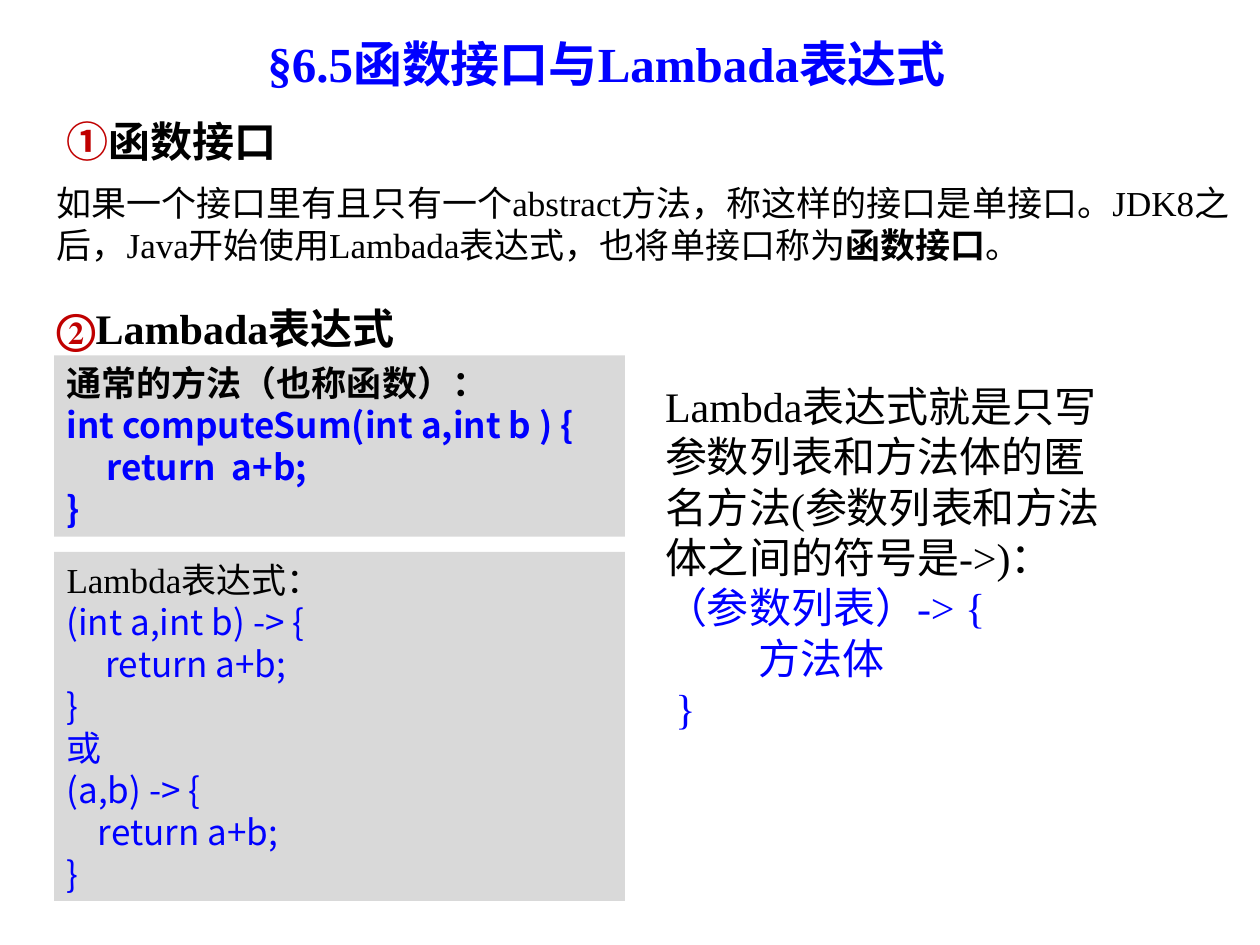
from pptx import Presentation
from pptx.dml.color import RGBColor
from pptx.enum.shapes import MSO_SHAPE
from pptx.enum.text import MSO_ANCHOR, PP_ALIGN
from pptx.util import Inches, Pt

RECTANGLE = MSO_SHAPE.RECTANGLE
TOP, MIDDLE = MSO_ANCHOR.TOP, MSO_ANCHOR.MIDDLE
LEFT, CENTER = PP_ALIGN.LEFT, PP_ALIGN.CENTER
COLORS = {"blue": "0000FF", "red": "C00000", "black": "000000", "gray": "D9D9D9"}
SERIF, SANS = "Times New Roman", "Noto Sans CJK SC"


def style_font(font, color, bold):
    font.color.rgb = RGBColor.from_string(COLORS[color])
    font.bold = bold


def write_text(shape, paragraphs, size, anchor=TOP, alignment=LEFT):
    frame = shape.text_frame
    frame.word_wrap = True
    frame.vertical_anchor = anchor
    for index, (font_name, runs) in enumerate(paragraphs):
        paragraph = frame.add_paragraph() if index else frame.paragraphs[0]
        paragraph.alignment = alignment
        paragraph.font.name = font_name
        paragraph.font.size = Pt(size)
        if len(runs) == 1:
            style_font(paragraph.font, *runs[0][1:])
        for text, color, bold in runs:
            run = paragraph.add_run()
            run.text = text
            if len(runs) > 1:
                style_font(run.font, color, bold)


presentation = Presentation()
presentation.slide_width = Inches(10)
presentation.slide_height = Inches(7.5)
slide = presentation.slides.add_slide(presentation.slide_layouts[6])

title = slide.shapes.add_textbox(Inches(0.98), Inches(0.19), Inches(7.67), Inches(0.62))
title_runs = [("§6.5函数接口与Lambada表达式", "blue", True)]
write_text(title, [(SERIF, title_runs)], 28, MIDDLE, CENTER)

headings = [
    (0.43, 0.87, "①", "函数接口"),
    (0.35, 2.35, "②", "Lambada表达式"),
]
for left, top, number, text in headings:
    heading = slide.shapes.add_textbox(Inches(left), Inches(top), Inches(5), Inches(0.5))
    write_text(heading, [(SERIF, [(number, "red", True), (text, "black", True)])], 24)

definition = slide.shapes.add_textbox(Inches(0.35), Inches(1.39), Inches(9.65), Inches(0.77))
definition_runs = [
    ("如果一个接口里有且只有一个abstract方法，称这样的接口是单接口。"
     "JDK8之后，Java开始使用Lambada表达式，也将单接口称为", "black", False),
    ("函数接口", "black", True),
    ("。", "black", False),
]
write_text(definition, [(SERIF, definition_runs)], 20)

code_panels = [
    (2.82, 1.44, True, "通常的方法（也称函数）：",
     ["int computeSum(int a,int b ) {", "     return  a+b;", "}"]),
    (4.38, 2.77, False, "Lambda表达式：",
     ["(int a,int b) -> {", "     return a+b;", "}", "或",
      "(a,b) -> {", "    return a+b;", "}"]),
]
for top, height, bold, caption, code_lines in code_panels:
    panel = slide.shapes.add_shape(
        RECTANGLE, Inches(0.43), Inches(top), Inches(4.53), Inches(height))
    panel.shadow.inherit = False
    panel.fill.solid()
    panel.fill.fore_color.rgb = RGBColor.from_string(COLORS["gray"])
    panel.line.fill.background()
    paragraphs = [(SERIF, [(caption, "black", bold)])]
    paragraphs += [(SANS, [(line, "blue", bold)]) for line in code_lines]
    write_text(panel, paragraphs, 20)

summary = slide.shapes.add_textbox(Inches(5.18), Inches(2.97), Inches(3.84), Inches(2.9))
summary_lines = [
    ("Lambda表达式就是只写参数列表和方法体的匿名方法"
     "(参数列表和方法体之间的符号是->)：", "black"),
    ("（参数列表）-> {", "blue"),
    ("          方法体", "blue"),
    (" }", "blue"),
]
write_text(summary, [(SERIF, [(text, color, False)]) for text, color in summary_lines], 24)

presentation.save("out.pptx")
